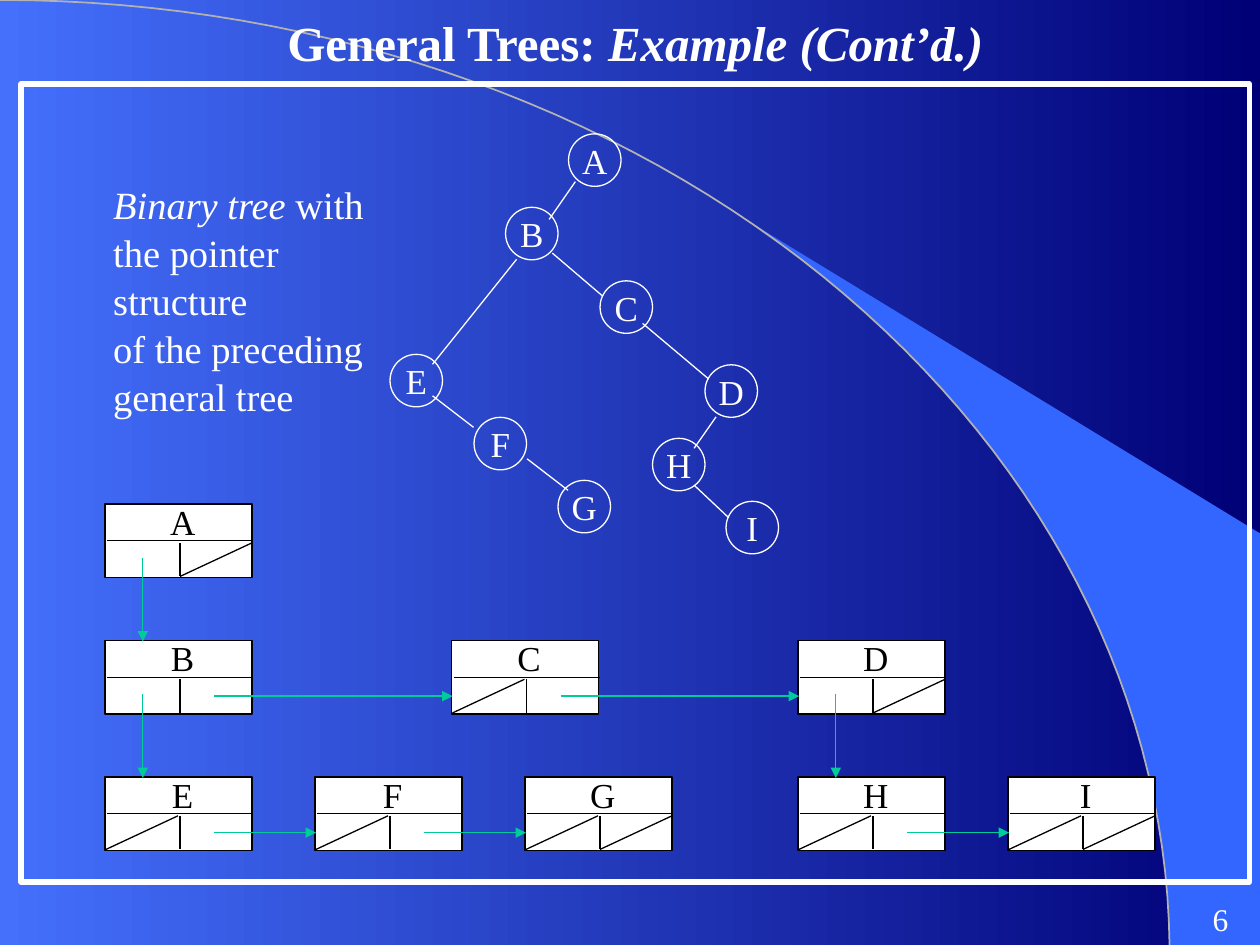
from math import cos, radians, sin

from lxml import etree
from pptx import Presentation
from pptx.dml.color import RGBColor
from pptx.enum.shapes import MSO_CONNECTOR, MSO_SHAPE
from pptx.enum.text import MSO_ANCHOR, PP_ALIGN
from pptx.oxml.ns import qn
from pptx.util import Inches, Pt

RECT, OVAL = MSO_SHAPE.RECTANGLE, MSO_SHAPE.OVAL
LINE = MSO_CONNECTOR.STRAIGHT
LEFT, MID, RIGHT = PP_ALIGN.LEFT, PP_ALIGN.CENTER, PP_ALIGN.RIGHT
TOP, CENTRE = MSO_ANCHOR.TOP, MSO_ANCHOR.MIDDLE

COLS, ROWS = 120, 90
CELL = Inches(10) // COLS
WHITE, BLACK, GREEN = "FFFFFF", "000000", "00CC99"
FONT = "Times New Roman"

BOXES = {
    "A": (10, 48, "right"), "B": (10, 61, ""), "C": (43, 61, "left"),
    "D": (76, 61, "right"), "E": (10, 74, "left"), "F": (30, 74, "left"),
    "G": (50, 74, "left right"), "H": (76, 74, "left"),
    "I": (96, 74, "left right"),
}
DOWN = ["A", "B", "D"]
NEXT = ["BC", "CD", "EF", "FG", "HI"]

NODES = {
    "A": (54, 12), "B": (48, 19), "C": (57, 26), "D": (67, 34), "E": (37, 33),
    "F": (45, 39), "G": (53, 45), "H": (62, 41), "I": (69, 47),
}
EDGES = [
    (54.8, 17.3, 52.3, 20.9), (49.2, 24.7, 41.2, 34.7),
    (41.2, 37.7, 45.1, 40.7), (50.2, 43.7, 54.1, 46.7),
    (52.6, 24.1, 57.4, 28.2), (61.2, 30.8, 67.5, 36.1),
    (68.2, 39.7, 66.1, 42.7), (66.1, 46.2, 69.4, 49.3),
]


def grid(*nums):
    return [round(n * CELL) for n in nums]


def tint(code):
    return RGBColor.from_string(code)


def paint(shape, fill=None, line=None, width=0.75):
    shape.shadow.inherit = False
    if fill:
        shape.fill.solid()
        shape.fill.fore_color.rgb = tint(fill)
    else:
        shape.fill.background()
    if line:
        shape.line.color.rgb = tint(line)
        shape.line.width = Pt(width)
    else:
        shape.line.fill.background()


def write(frame, lines, size=20, color=WHITE, bold=False, align=MID,
          anchor=CENTRE, wrap=False, pad=0, lead=1.0):
    frame.word_wrap = wrap
    frame.vertical_anchor = anchor
    frame.margin_left = frame.margin_right = Inches(pad)
    frame.margin_top = frame.margin_bottom = Inches(pad / 2)
    for num, runs in enumerate(lines):
        para = frame.add_paragraph() if num else frame.paragraphs[0]
        para.alignment = align
        para.line_spacing = lead
        for text, slant in runs:
            run = para.add_run()
            run.text = text
            font = run.font
            font.name, font.size = FONT, Pt(size)
            font.bold, font.italic = bold, slant
            font.color.rgb = tint(color)


def label(shapes, area, lines, **form):
    write(shapes.add_textbox(*grid(*area)).text_frame, lines, **form)


def link(shapes, ends, color=BLACK, arrow=False):
    line = shapes.add_connector(LINE, *grid(*ends))
    line.line.color.rgb = tint(color)
    line.line.width = Pt(0.75)
    if arrow:
        tail = etree.SubElement(line.line._get_or_add_ln(), qn("a:tailEnd"))
        tail.set("type", "triangle")
    etree.SubElement(line.element.spPr, qn("a:effectLst"))


def curve(first, last=89.4, steps=60):
    turns = [first + (last - first) * n / steps for n in range(steps + 1)]
    return [(111.4 * sin(radians(t)), 91 * (1 - cos(radians(t)))) for t in turns]


def trace(shapes, points, close, **style):
    start, *rest = [grid(*point) for point in points]
    pen = shapes.build_freeform(*start)
    pen.add_line_segments(rest, close=close)
    paint(pen.convert_to_shape(), **style)


def scene(slide):
    fill = slide.background.fill
    fill.gradient()
    fill.gradient_angle = 0
    for stop, code in zip(fill.gradient_stops, ("4470FC", "000076")):
        stop.color.rgb = tint(code)
    edge = [(COLS, ROWS), (COLS, 50.8)]
    trace(slide.shapes, curve(39.8) + edge, True, fill="3366FF")
    trace(slide.shapes, curve(0), False, line="B2B2B2", width=1)


def box(shapes, name, left, top, nulls):
    paint(shapes.add_shape(RECT, *grid(left, top, 14, 7)), WHITE, BLACK)
    label(shapes, (left + 5, top - 1, 4.8, 5.3), [[(name, False)]], color=BLACK)
    mid, high, low = left + 7.15, top + 3.7, top + 6.9
    link(shapes, (left + 0.2, top + 3.5, left + 14.1, top + 3.5))
    link(shapes, (mid, high, mid, low))
    for side, start in (("left", left + 0.1), ("right", mid)):
        if side in nulls:
            link(shapes, (start + 6.85, high, start, low))


def chain(shapes):
    for name, spot in BOXES.items():
        box(shapes, name, *spot)
    for name in DOWN:
        left, top, _ = BOXES[name]
        link(shapes, (left + 3.6, top + 5.1, left + 3.6, top + 13.1), GREEN, True)
    for name, peer in NEXT:
        left, top, _ = BOXES[name]
        row = top + 5.3
        link(shapes, (left + 10.4, row, BOXES[peer][0] + 0.1, row), GREEN, True)


def tree(shapes):
    for ends in EDGES:
        link(shapes, ends, WHITE)
    for name, (col, row) in NODES.items():
        node = shapes.add_shape(OVAL, *grid(col + 0.15, row + 0.75, 5, 5))
        paint(node, line=WHITE)
        write(node.text_frame, [[(name, False)]])


def head(slide):
    title = slide.shapes.title
    title.left, title.top, title.width, title.height = grid(3, 1, 115, 6)
    write(title.text_frame,
          [[("General Trees: ", False), ("Example (Cont’d.)", True)]],
          size=28, bold=True, wrap=True, pad=0.1)
    slide.shapes.element.append(title.element)


def main():
    deck = Presentation()
    deck.slide_width, deck.slide_height = grid(COLS, ROWS)
    slide = deck.slides.add_slide(deck.slide_layouts[5])
    shapes = slide.shapes
    scene(slide)
    head(slide)
    label(shapes, (92, 85, 25, 5), [[("6", False)]], size=18,
          align=RIGHT, anchor=CENTRE, wrap=True)
    chain(shapes)
    tree(shapes)
    label(shapes, (9.6, 16.5, 31.8, 18.8), [
        [("Binary tree", True), (" with", False)],
        [("the pointer structure", False)],
        [("of the preceding", False)],
        [("general tree", False)],
    ], size=22, align=LEFT, anchor=TOP, pad=0.1, lead=1.04)
    paint(shapes.add_shape(RECT, *grid(2, 8, 117, 76)), line=WHITE, width=3)
    deck.save("out.pptx")


if __name__ == "__main__":
    main()
